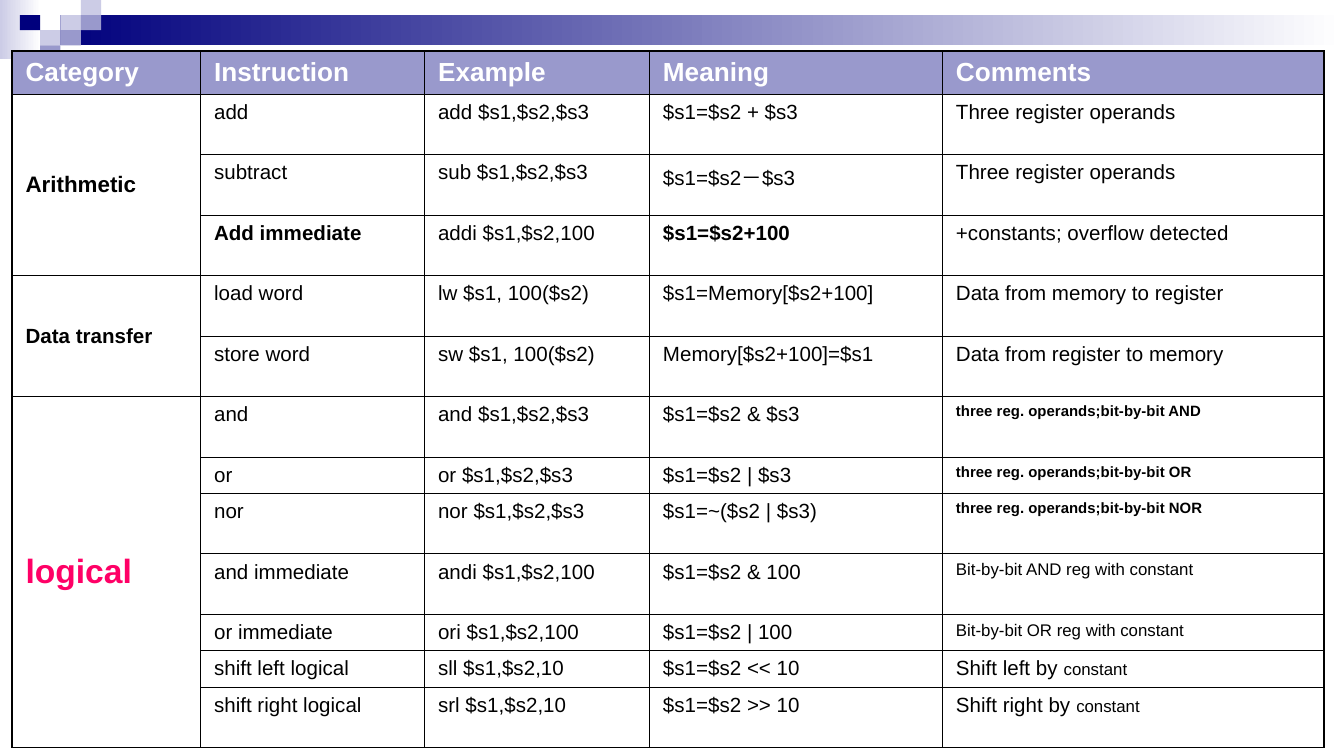
from lxml import etree
from pptx import Presentation
from pptx.dml.color import RGBColor
from pptx.enum.shapes import MSO_SHAPE
from pptx.enum.text import MSO_ANCHOR
from pptx.oxml.ns import qn
from pptx.util import Pt

RECT = MSO_SHAPE.RECTANGLE
TOP, MIDDLE = MSO_ANCHOR.TOP, MSO_ANCHOR.MIDDLE
NAVY, BLUE, PALE = "00007D", "9999CC", "CCCCE6"
WHITE, BLACK, PINK = "FFFFFF", "000000", "FF0066"
THIN, THICK = 0.45, 1.08
LOGIC = 6

PLAIN = {"size": Pt(11), "bold": False}
BOLD = {"size": Pt(11), "bold": True}
HEAD = {"size": Pt(14), "bold": True}
MATH = {"size": Pt(12), "bold": True}
LARGE = {"size": Pt(18), "bold": True}
SMALL = {"size": Pt(9), "bold": False}
TINY = {"size": Pt(8), "bold": True}

TITLES = ["Category", "Instruction", "Example", "Meaning", "Comments"]
ROWS = [
    ["add", "add $s1,$s2,$s3", "$s1=$s2 + $s3", "Three register operands"],
    ["subtract", "sub $s1,$s2,$s3", "$s1=$s2－$s3", "Three register operands"],
    ["Add immediate", "addi $s1,$s2,100", "$s1=$s2+100", "+constants; overflow detected"],
    ["load word", "lw $s1, 100($s2)", "$s1=Memory[$s2+100]", "Data from memory to register"],
    ["store word", "sw $s1, 100($s2)", "Memory[$s2+100]=$s1", "Data from register to memory"],
    ["and", "and $s1,$s2,$s3", "$s1=$s2 & $s3", "three reg. operands;bit-by-bit AND"],
    ["or", "or $s1,$s2,$s3", "$s1=$s2 | $s3", "three reg. operands;bit-by-bit OR"],
    ["nor", "nor $s1,$s2,$s3", "$s1=~($s2 | $s3)", "three reg. operands;bit-by-bit NOR"],
    ["and immediate", "andi $s1,$s2,100", "$s1=$s2 & 100", "Bit-by-bit AND reg with constant"],
    ["or immediate", "ori $s1,$s2,100", "$s1=$s2 | 100", "Bit-by-bit OR reg with constant"],
    ["shift left logical", "sll $s1,$s2,10", "$s1=$s2 << 10", "Shift left by |constant"],
    ["shift right logical", "srl $s1,$s2,10", "$s1=$s2 >> 10", "Shift right by |constant"],
]
GROUPS = [
    (1, 3, "Arithmetic", MATH, BLACK),
    (4, 5, "Data transfer", BOLD, BLACK),
    (LOGIC, 12, "logical", LARGE, PINK),
]
LOOKS = {(3, 1): BOLD, (3, 3): BOLD}
LOOKS.update({(row, 4): TINY for row in (6, 7, 8)})
LOOKS.update({(row, 4): SMALL for row in (9, 10)})

WIDTHS = [101, 120, 120.5, 157, 204.5]
TALL, SHORT = 32.4, 19.4
HEIGHTS = [23] + [SHORT if row in (7, 10, 11) else TALL for row in range(1, 13)]
TILES = [(2, 1, PALE), (3, 0, PALE), (3, 1, BLUE), (1, 2, PALE),
         (0, 1, NAVY), (2, 2, BLUE), (1, 3, BLUE)]
STEP_X, STEP_Y = 10.9, 8.1


def paint(code):
    return RGBColor.from_string(code)


class Deck:
    face = "Arial"

    def __init__(self, slide):
        self.slide = slide

    def block(self, left, top, width, height, *shades):
        box = self.slide.shapes.add_shape(
            RECT, Pt(left), Pt(top), Pt(width), Pt(height))
        box.shadow.inherit = False
        box.line.fill.background()
        if len(shades) == 1:
            box.fill.solid()
            box.fill.fore_color.rgb = paint(shades[0])
            return
        box.fill.gradient()
        box.fill.gradient_angle = 0
        for stop, shade in zip(box.fill.gradient_stops, shades):
            stop.color.rgb = paint(shade)

    def grid(self, left, top, widths, heights):
        frame = self.slide.shapes.add_table(
            len(heights), len(widths), Pt(left), Pt(top),
            Pt(sum(widths)), Pt(sum(heights)))
        table = frame.table
        table.first_row = table.horz_banding = False
        for column, width in zip(table.columns, widths):
            column.width = Pt(width)
        for row, height in zip(table.rows, heights):
            row.height = Pt(height)
        return table

    def edge(self, cell, sides):
        props = cell._tc.get_or_add_tcPr()
        for side, width in sides.items():
            line = etree.SubElement(props, qn("a:ln" + side), w=str(Pt(width)))
            fill = etree.SubElement(line, qn("a:solidFill"))
            etree.SubElement(fill, qn("a:srgbClr"), val=BLACK)

    def fill(self, cell, shade):
        if shade:
            cell.fill.solid()
            cell.fill.fore_color.rgb = paint(shade)
        else:
            cell.fill.background()

    def label(self, cell, parts, shade=BLACK, anchor=TOP):
        cell.vertical_anchor = anchor
        for text, look in parts:
            run = cell.text_frame.paragraphs[0].add_run()
            run.text = text
            run.font.color.rgb = paint(shade)
            for key, value in {"name": self.face, **look}.items():
                setattr(run.font, key, value)


def main():
    deck = Presentation()
    deck.slide_width, deck.slide_height = Pt(720), Pt(405)
    page = Deck(deck.slides.add_slide(deck.slide_layouts[6]))

    page.block(0, 0, 22, 31.7, PALE, WHITE)
    page.block(32.4, 8.1, 687.6, 16.2, NAVY, WHITE)
    for column, row, shade in TILES:
        page.block(10.6 + column * STEP_X, row * STEP_Y, STEP_X, STEP_Y, shade)

    table = page.grid(6.5, 27.4, WIDTHS, HEIGHTS)
    for row in range(len(HEIGHTS)):
        for column in range(len(WIDTHS)):
            cell = table.cell(row, column)
            page.edge(cell, {
                "L": THICK if column == 0 else THIN,
                "R": THICK if column == len(WIDTHS) - 1 else THIN,
                "T": THICK if row == 0 else THIN,
                "B": THICK if column == 0 and row >= LOGIC else THIN,
            })
            page.fill(cell, BLUE if row == 0 else WHITE if row >= LOGIC else None)

    for column, title in enumerate(TITLES):
        page.label(table.cell(0, column), [(title, HEAD)], WHITE)
    for first, last, name, look, shade in GROUPS:
        cell = table.cell(first, 0)
        cell.merge(table.cell(last, 0))
        page.label(cell, [(name, look)], shade, MIDDLE)
    for row, texts in enumerate(ROWS, 1):
        for column, text in enumerate(texts, 1):
            look = LOOKS.get((row, column), PLAIN)
            parts = text.split("|") if column == 4 else [text]
            page.label(table.cell(row, column), zip(parts, (look, SMALL)))

    deck.save("out.pptx")


if __name__ == "__main__":
    main()
